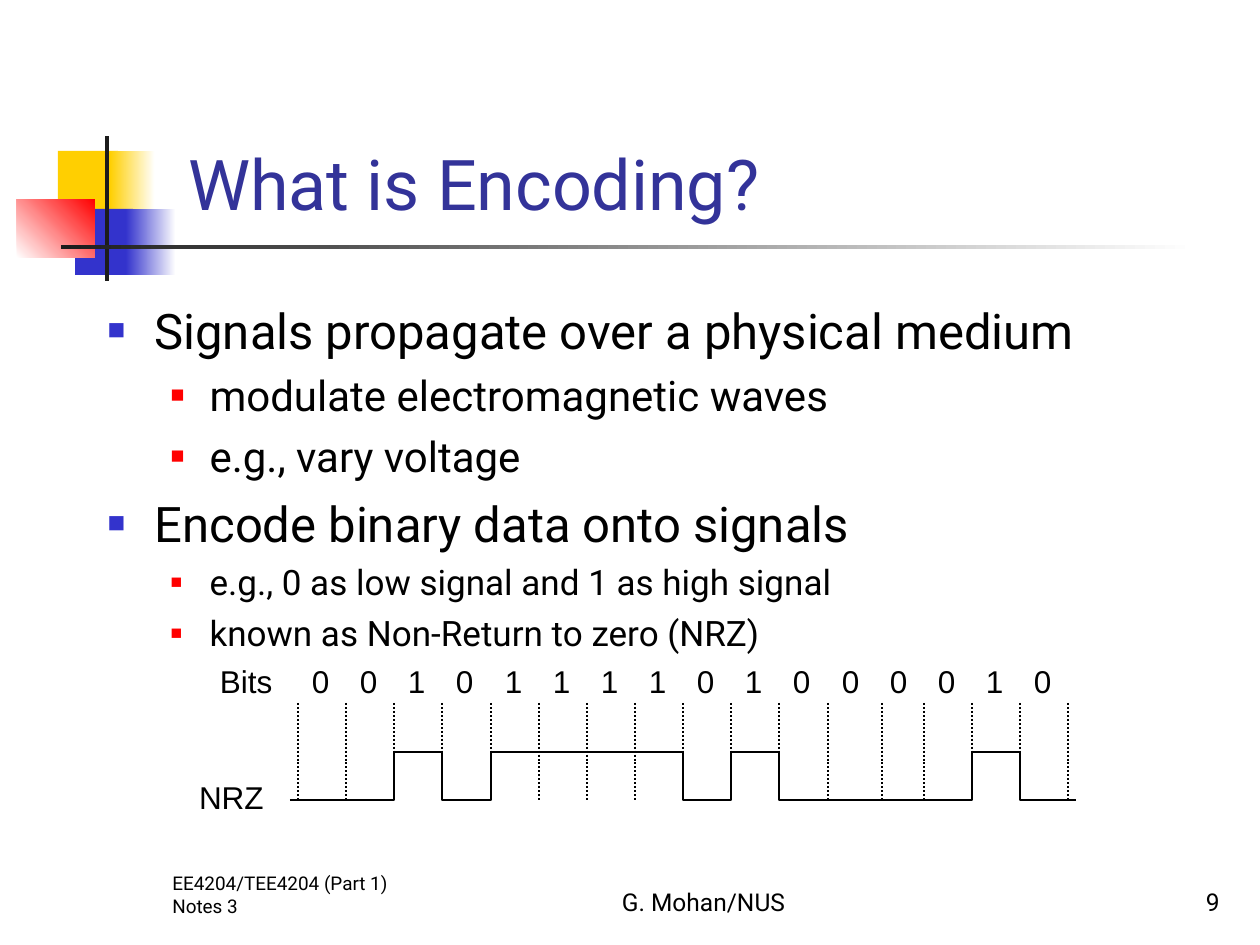
from lxml.etree import SubElement
from pptx import Presentation
from pptx.dml.color import RGBColor
from pptx.enum.dml import MSO_LINE
from pptx.enum.shapes import MSO_CONNECTOR, MSO_SHAPE
from pptx.enum.text import MSO_ANCHOR, MSO_AUTO_SIZE, PP_ALIGN
from pptx.oxml.ns import qn
from pptx.util import Emu, Pt

EMU_PER_PX = 914400 / 126

BLACK = RGBColor(0x00, 0x00, 0x00)
WHITE = RGBColor(0xFF, 0xFF, 0xFF)
CHARCOAL = RGBColor(0x1C, 0x1C, 0x1C)
YELLOW = RGBColor(0xFF, 0xCF, 0x01)
BLUE = RGBColor(0x33, 0x33, 0xCC)
RED = RGBColor(0xFF, 0x00, 0x00)
NAVY = RGBColor(0x33, 0x33, 0x99)

TITLE = "What is Encoding?"
TITLE_BOX = (158, 30, 1074, 201)
BODY_BOX = (95, 294, 1071, 567)

# level, size, space before, text
BODY = [
    (0, 28, 0, "Signals propagate over a physical medium"),
    (1, 24, 6, "modulate electromagnetic waves"),
    (1, 24, 6, "e.g., vary voltage"),
    (0, 28, 7, "Encode binary data onto signals"),
    (1, 20, 5, "e.g., 0 as low signal and 1 as high signal"),
    (1, 20, 5, "known as Non-Return to zero (NRZ)"),
]
# left margin, hanging indent, bullet colour, bullet size in percent
LEVELS = [(47, 47, BLUE, 60), (102, 39, RED, 55)]

# box, colours from first to last, gradient angle
DECORATION = [
    ((58, 151, 60, 66), [YELLOW], 0),
    ((110, 151, 45, 66), [YELLOW, WHITE], 0),
    ((75, 209, 58, 66), [BLUE], 0),
    ((126, 209, 50, 66), [BLUE, WHITE], 0),
    ((17, 199, 78, 59), [WHITE, RED], 45),
    ((105, 136, 4, 145), [CHARCOAL], 0),
    ((61, 245, 1134, 4), [CHARCOAL, WHITE], 0),
]

# box, size, alignment, text
FOOTERS = [
    ((160, 860, 262, 63), 10.8, PP_ALIGN.LEFT, "EE4204/TEE4204 (Part 1) Notes 3"),
    ((504, 860, 399, 63), 14, PP_ALIGN.CENTER, "G. Mohan/NUS"),
    ((970, 860, 262, 63), 14, PP_ALIGN.RIGHT, "9"),
]

BITS = "0010111101000010"
SIGNAL_LABELS = [((220, 662, 60, 38), "Bits"), ((199, 778, 80, 38), "NRZ")]
FIRST_DIGIT, DIGIT_PITCH, DIGIT_TOP = 312, 48.14, 662
FIRST_TICK, TICK_PITCH, TICK_TOP = 298, 48.14, 703
TICK_NUDGE = {12: 6}  # one divider stands off the even grid
HIGH, LOW = 752, 800
WAVE_LEFT, WAVE_RIGHT = 290, 1076


def px(value):
    return Emu(round(value * EMU_PER_PX))


def place(shape, box):
    for name, value in zip(("left", "top", "width", "height"), box):
        setattr(shape, name, px(value))


def add_run(paragraph, text, size, font="Roboto", color=BLACK):
    run = paragraph.add_run()
    run.text = text
    for name, value in {"name": font, "size": Pt(size)}.items():
        setattr(run.font, name, value)
    run.font.color.rgb = color


def add_text(shapes, box, text, size, font="Roboto", align=PP_ALIGN.LEFT, **frame_format):
    shape = shapes.add_textbox(*map(px, box))
    for name, value in frame_format.items():
        setattr(shape.text_frame, name, value)
    paragraph = shape.text_frame.paragraphs[0]
    paragraph.alignment = align
    add_run(paragraph, text, size, font)


def add_bullet(paragraph, level):
    margin, hanging, color, percent = LEVELS[level]
    properties = paragraph._p.get_or_add_pPr()
    properties.set("marL", str(px(margin)))
    properties.set("indent", str(-px(hanging)))
    bullet_color = SubElement(properties, qn("a:buClr"))
    SubElement(bullet_color, qn("a:srgbClr"), val=str(color))
    SubElement(properties, qn("a:buSzPct"), val=str(percent * 1000))
    SubElement(properties, qn("a:buFont"), typeface="Arial")
    SubElement(properties, qn("a:buChar"), char="■")


def add_decoration(shapes):
    for box, colors, angle in DECORATION:
        shape = shapes.add_shape(MSO_SHAPE.RECTANGLE, *map(px, box))
        shape.shadow.inherit = False
        shape.line.fill.background()
        if len(colors) == 1:
            shape.fill.solid()
            shape.fill.fore_color.rgb = colors[0]
        else:
            shape.fill.gradient()
            shape.fill.gradient_angle = angle
            for stop, color in zip(shape.fill.gradient_stops, colors):
                stop.color.rgb = color


def fill_placeholders(slide):
    title, body = slide.placeholders
    place(title, TITLE_BOX)
    place(body, BODY_BOX)
    for shape in (title, body):
        shape.text_frame.auto_size = MSO_AUTO_SIZE.NONE
    title.text_frame.vertical_anchor = MSO_ANCHOR.BOTTOM
    title.text_frame.margin_left = px(30)
    heading = title.text_frame.paragraphs[0]
    heading.alignment = PP_ALIGN.LEFT
    add_run(heading, TITLE, 40, color=NAVY)

    frame = body.text_frame
    for index, (level, size, space, text) in enumerate(BODY):
        paragraph = frame.add_paragraph() if index else frame.paragraphs[0]
        paragraph.level = level
        add_bullet(paragraph, level)
        paragraph.space_before = Pt(space)
        add_run(paragraph, text, size)


def format_line(line):
    line.color.rgb = BLACK
    line.width = Pt(1.13)


def add_signal(shapes):
    digits = [((round(FIRST_DIGIT + i * DIGIT_PITCH), DIGIT_TOP, 24, 38), bit)
              for i, bit in enumerate(BITS)]
    no_margins = {f"margin_{side}": 0 for side in ("left", "top", "right", "bottom")}
    for box, text in SIGNAL_LABELS + digits:
        # Boxes wider than their text keep every label on one line and left-aligned.
        add_text(shapes, box, text, 18, "Arial", word_wrap=True, **no_margins)

    ticks = [round(FIRST_TICK + i * TICK_PITCH) + TICK_NUDGE.get(i, 0)
             for i in range(len(BITS) + 1)]
    for x in ticks:
        tick = shapes.add_connector(MSO_CONNECTOR.STRAIGHT, *map(px, (x, TICK_TOP, x, LOW)))
        format_line(tick.line)
        tick.line.dash_style = MSO_LINE.ROUND_DOT
        SubElement(tick._element.spPr, qn("a:effectLst"))

    heights = [HIGH if bit == "1" else LOW for bit in BITS]
    points = []
    for x, before, after in zip(ticks[1:], heights, heights[1:]):
        if before != after:
            points += [(x, before), (x, after)]
    points.append((WAVE_RIGHT, heights[-1]))
    builder = shapes.build_freeform(WAVE_LEFT, heights[0], scale=EMU_PER_PX)
    builder.add_line_segments(points, close=False)
    wave = builder.convert_to_shape()
    wave.shadow.inherit = False
    wave.fill.background()
    format_line(wave.line)


def main():
    presentation = Presentation()
    presentation.slide_width, presentation.slide_height = px(1260), px(945)
    slide = presentation.slides.add_slide(presentation.slide_layouts[1])
    add_decoration(slide.shapes)
    for box, size, align, text in FOOTERS:
        add_text(slide.shapes, box, text, size, align=align,
                 word_wrap=True, vertical_anchor=MSO_ANCHOR.BOTTOM)
    fill_placeholders(slide)
    add_signal(slide.shapes.add_group_shape().shapes)
    presentation.save("out.pptx")


if __name__ == "__main__":
    main()
